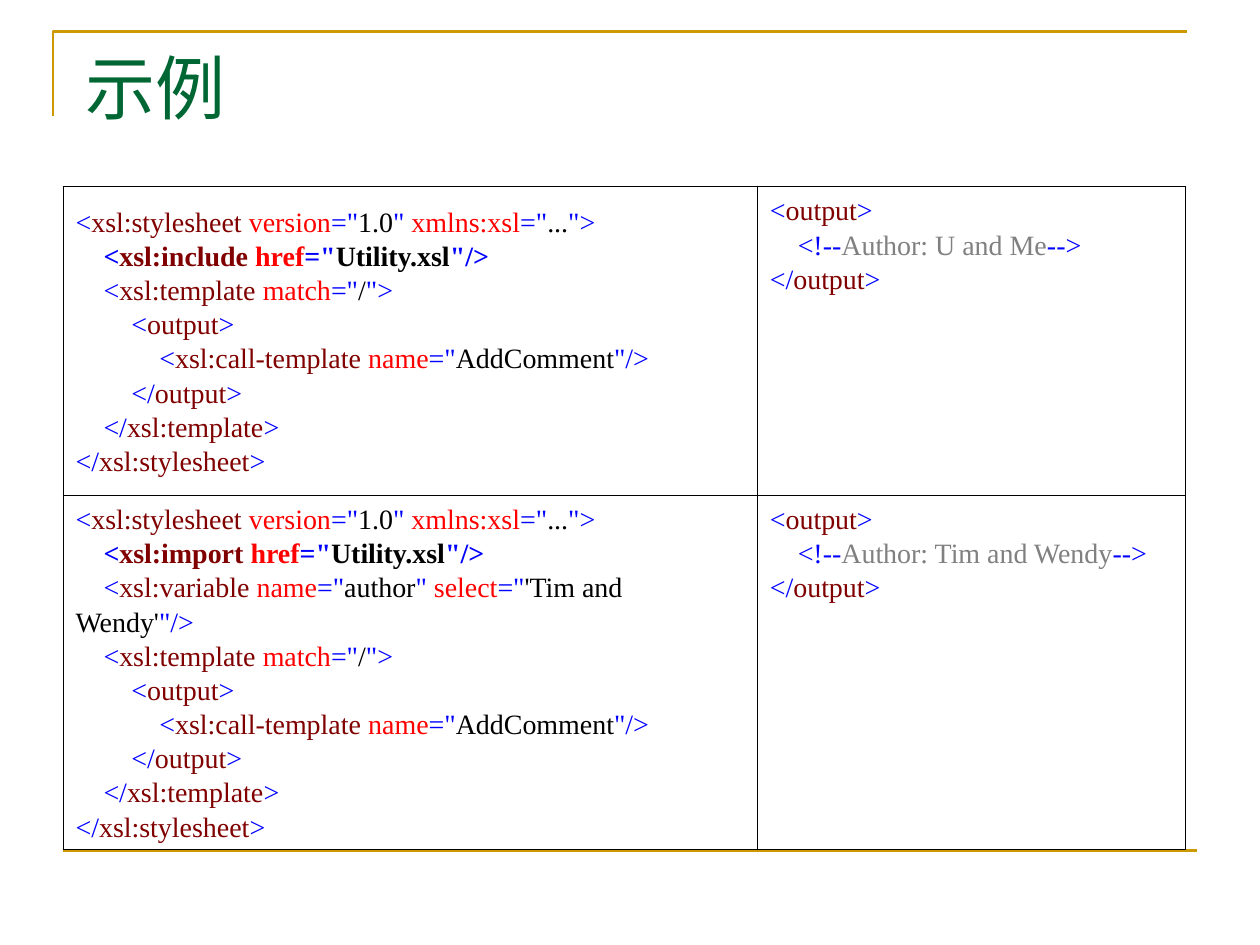
from lxml.etree import SubElement
from pptx import Presentation
from pptx.dml.color import RGBColor
from pptx.enum.text import MSO_ANCHOR, MSO_AUTO_SIZE, PP_ALIGN
from pptx.oxml.ns import qn
from pptx.util import Inches, Pt

GOLD = RGBColor(0xCC, 0x99, 0x00)
GREEN = RGBColor(0x00, 0x66, 0x33)
BLUE = RGBColor(0x00, 0x00, 0xFF)
MAROON = RGBColor(0x80, 0x00, 0x00)
RED = RGBColor(0xFF, 0x00, 0x00)
GRAY = RGBColor(0x80, 0x80, 0x80)
BLACK = RGBColor(0x00, 0x00, 0x00)

FONT = "Times New Roman"
INDENT = "    "


# Code lines: each is a list of (text, colour, bold) spans
def open_tag(level, name, attributes=(), end=">", bold=False):
    spans = [(INDENT * level + "<", BLUE, bold), (name, MAROON, bold)]
    closing = ""
    for key, value in attributes:
        if closing:
            spans.append((closing, BLUE, bold))
        spans += [(" " + key, RED, bold), ('="', BLUE, bold), (value, BLACK, bold)]
        closing = '"'
    return spans + [(closing + end, BLUE, bold)]


def close_tag(level, name):
    return [(INDENT * level + "</", BLUE, False), (name, MAROON, False), (">", BLUE, False)]


def stylesheet(*declarations):
    return [
        open_tag(0, "xsl:stylesheet", [("version", "1.0"), ("xmlns:xsl", "...")]),
        *declarations,
        open_tag(1, "xsl:template", [("match", "/")]),
        open_tag(2, "output"),
        open_tag(3, "xsl:call-template", [("name", "AddComment")], "/>"),
        close_tag(2, "output"),
        close_tag(1, "xsl:template"),
        close_tag(0, "xsl:stylesheet"),
    ]


def result(author):
    comment = [(INDENT + "<!--", BLUE, False), ("Author: " + author, GRAY, False),
               ("-->", BLUE, False)]
    return [open_tag(0, "output"), comment, close_tag(0, "output")]


def add_span(para, text, size, color, bold=False):
    span = para.add_run()
    span.text = text
    span.font.name = FONT
    span.font.size = Pt(size)
    span.font.bold = bold
    span.font.color.rgb = color


def add_title(page, text):
    title = page.shapes.title
    title.left, title.top = Inches(0.58), Inches(0.3)
    title.width, title.height = Inches(8.75), Inches(1.25)
    frame = title.text_frame
    frame.auto_size = MSO_AUTO_SIZE.NONE
    frame.vertical_anchor = MSO_ANCHOR.TOP
    para = frame.paragraphs[0]
    para.alignment = PP_ALIGN.LEFT
    add_span(para, text, 40, GREEN)


def add_frame_lines(page):
    # Corner above the title
    builder = page.shapes.build_freeform(Inches(0.42), Inches(0.92))
    builder.add_line_segments(
        [(Inches(0.42), Inches(0.25)), (Inches(9.42), Inches(0.25))], close=False)
    corner = builder.convert_to_shape()
    corner.shadow.inherit = False
    corner.fill.background()

    # Rule below the table
    rule = page.shapes.add_connector(1, Inches(0.5), Inches(6.75), Inches(9.5), Inches(6.75))
    SubElement(rule._element.spPr, qn("a:effectLst"))
    for shape in (corner, rule):
        shape.line.color.rgb = GOLD
        shape.line.width = Pt(1.5)


def set_borders(cell):
    properties = cell._tc.get_or_add_tcPr()
    for side in ("a:lnL", "a:lnR", "a:lnT", "a:lnB"):
        line = SubElement(properties, qn(side), w=str(Pt(0.45)))
        fill = SubElement(line, qn("a:solidFill"))
        SubElement(fill, qn("a:srgbClr"), val=str(BLACK))


def fill_cell(cell, lines):
    set_borders(cell)
    cell.fill.background()
    frame = cell.text_frame
    for index, spans in enumerate(lines):
        para = frame.add_paragraph() if index else frame.paragraphs[0]
        para.line_spacing = 1.1
        for text, color, bold in spans:
            add_span(para, text, 16, color, bold)


def add_code_table(page, rows):
    table = page.shapes.add_table(
        2, 2, Inches(0.5), Inches(1.48), Inches(8.91), Inches(5.19)).table
    table.first_row = table.horz_banding = False
    for column, width in zip(table.columns, (5.51, 3.4)):
        column.width = Inches(width)
    for row, height in zip(table.rows, (2.45, 2.74)):
        row.height = Inches(height)
    for row, contents in zip(table.rows, rows):
        for cell, lines in zip(row.cells, contents):
            fill_cell(cell, lines)
    table.cell(0, 0).vertical_anchor = MSO_ANCHOR.MIDDLE


def main():
    deck = Presentation()
    deck.slide_width, deck.slide_height = Inches(10), Inches(7.5)
    page = deck.slides.add_slide(deck.slide_layouts[5])

    utility = [("href", "Utility.xsl")]
    include = open_tag(1, "xsl:include", utility, "/>", bold=True)
    import_line = open_tag(1, "xsl:import", utility, "/>", bold=True)
    variable = open_tag(
        1, "xsl:variable", [("name", "author"), ("select", "'Tim and Wendy'")], "/>")

    add_frame_lines(page)
    add_code_table(page, [
        (stylesheet(include), result("U and Me")),
        (stylesheet(import_line, variable), result("Tim and Wendy")),
    ])
    add_title(page, "示例")
    deck.save("out.pptx")


if __name__ == "__main__":
    main()
